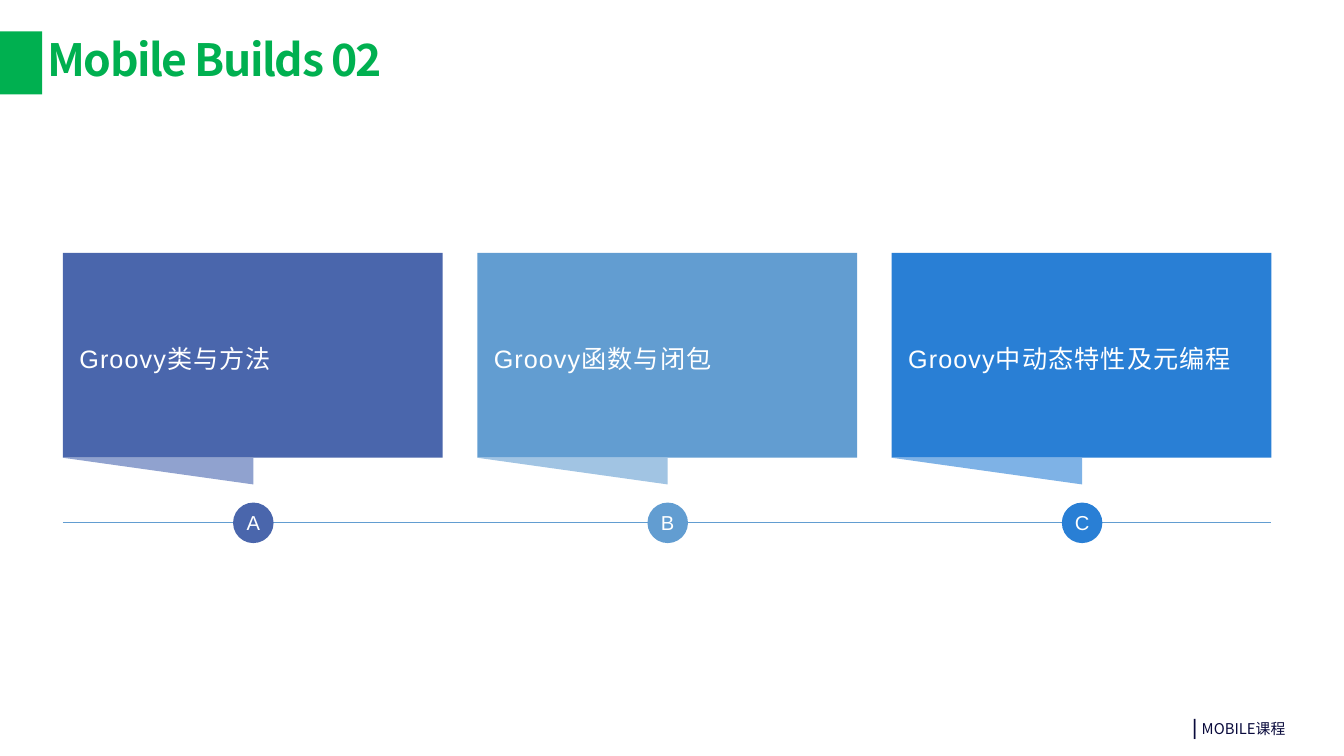
from pptx import Presentation
from pptx.dml.color import RGBColor
from pptx.enum.shapes import MSO_CONNECTOR, MSO_SHAPE
from pptx.enum.text import MSO_ANCHOR, MSO_AUTO_SIZE, PP_ALIGN
from pptx.oxml.ns import qn
from pptx.util import Inches, Pt
from lxml import etree

GREEN = RGBColor(0x00, 0xB0, 0x50)
NAVY = RGBColor(0x09, 0x0A, 0x3C)
WHITE = RGBColor(0xFF, 0xFF, 0xFF)
INDIGO = RGBColor(0x4A, 0x66, 0xAC)
SKY = RGBColor(0x62, 0x9D, 0xD1)
BLUE = RGBColor(0x29, 0x7F, 0xD5)
INDIGO_TINT = RGBColor(0x90, 0xA2, 0xCF)
SKY_TINT = RGBColor(0xA1, 0xC4, 0xE3)
BLUE_TINT = RGBColor(0x7E, 0xB2, 0xE6)
LATIN, CJK = "Arial", "Noto Sans CJK SC"


class SlideBuilder:
    """Holds the text style and the current slide, and adds elements to it."""

    def __init__(self, slide):
        self.slide = slide
        self.frame = {"word_wrap": True, "auto_size": MSO_AUTO_SIZE.NONE,
                      "vertical_anchor": MSO_ANCHOR.MIDDLE}
        self.font = {"name": LATIN, "bold": False}

    def apply(self, target, values):
        for name, value in values.items():
            setattr(target, name, value)

    def fill_text(self, tf, runs, frame=None, para=None, spacing=0):
        self.apply(tf, {**self.frame, **(frame or {})})
        p = tf.paragraphs[0]
        self.apply(p, {"alignment": PP_ALIGN.LEFT, **(para or {})})
        for text, color, values in runs:
            r = p.add_run()
            r.text = text
            self.apply(r.font, {**self.font, **values})
            r.font.color.rgb = color
            rpr = r.font._element
            rpr.set("spc", str(round(spacing * 100)))
            ea = etree.Element(qn("a:ea"), typeface=CJK)
            rpr.find(qn("a:latin")).addnext(ea)

    def title(self, box, runs, **style):
        sp = self.slide.shapes.title
        sp.left, sp.top, sp.width, sp.height = map(Inches, box)
        self.fill_text(sp.text_frame, runs, **style)

    def text(self, box, runs, **style):
        sp = self.slide.shapes.add_textbox(*map(Inches, box))
        self.fill_text(sp.text_frame, runs, **style)

    def shape(self, kind, box, fill):
        sp = self.slide.shapes.add_shape(kind, *map(Inches, box))
        sp.shadow.inherit = False
        sp.fill.solid()
        sp.fill.fore_color.rgb = fill
        sp.line.fill.background()
        return sp

    def line(self, start, end, color, width):
        cxn = self.slide.shapes.add_connector(
            MSO_CONNECTOR.STRAIGHT, *map(Inches, start + end))
        cxn.line.color.rgb = color
        cxn.line.width = Pt(width)
        etree.SubElement(cxn._element.spPr, qn("a:effectLst"))

    def topic(self, left, letter, text, fill, tint):
        top, height, tail_width, dot = 4.74, 3.84, 3.57, 0.76
        self.shape(MSO_SHAPE.RECTANGLE, (left, top, 7.12, height), fill)
        tail = self.shape(MSO_SHAPE.ISOSCELES_TRIANGLE,
                          (left, top + height, tail_width, 0.5), tint)
        tail.rotation = 180
        tail.adjustments[0] = 0
        self.text((left + 0.21, 5.26, 6.92, 2.8),
                  [(text, WHITE, {"size": Pt(34)})],
                  para={"line_spacing": 1.2}, spacing=1.5)
        marker = self.shape(MSO_SHAPE.OVAL, (left + tail_width - dot / 2,
                                             9.42, dot, dot), fill)
        self.fill_text(marker.text_frame, [(letter, WHITE, {"size": Pt(27.2)})],
                       para={"alignment": PP_ALIGN.CENTER})


prs = Presentation()
prs.slide_width, prs.slide_height = Inches(25.2), Inches(14.17)
page = SlideBuilder(prs.slides.add_slide(prs.slide_layouts[5]))

page.shape(MSO_SHAPE.RECTANGLE, (0, 0.59, 0.79, 1.18), GREEN)
page.text((22.26, 13.39, 2.42, 0.5),
          [("| ", NAVY, {"size": Pt(24), "name": CJK, "bold": True}),
           ("MOBILE课程", NAVY, {"size": Pt(20), "name": CJK})],
          frame={"word_wrap": False, "vertical_anchor": MSO_ANCHOR.TOP,
                 "auto_size": MSO_AUTO_SIZE.SHAPE_TO_FIT_TEXT})
page.title((0.79, 0.57, 23.62, 1.2),
           [("Mobile Builds 02", GREEN,
             {"size": Pt(60), "name": CJK, "bold": True})],
           para={"line_spacing": 0.9}, spacing=-2)
page.line((1.18, 9.79), (23.83, 9.79), SKY, 2)

topics = [("A", "Groovy类与方法", INDIGO, INDIGO_TINT),
          ("B", "Groovy函数与闭包", SKY, SKY_TINT),
          ("C", "Groovy中动态特性及元编程", BLUE, BLUE_TINT)]
for i, topic in enumerate(topics):
    page.topic(1.18 + 7.77 * i, *topic)

prs.save("out.pptx")
